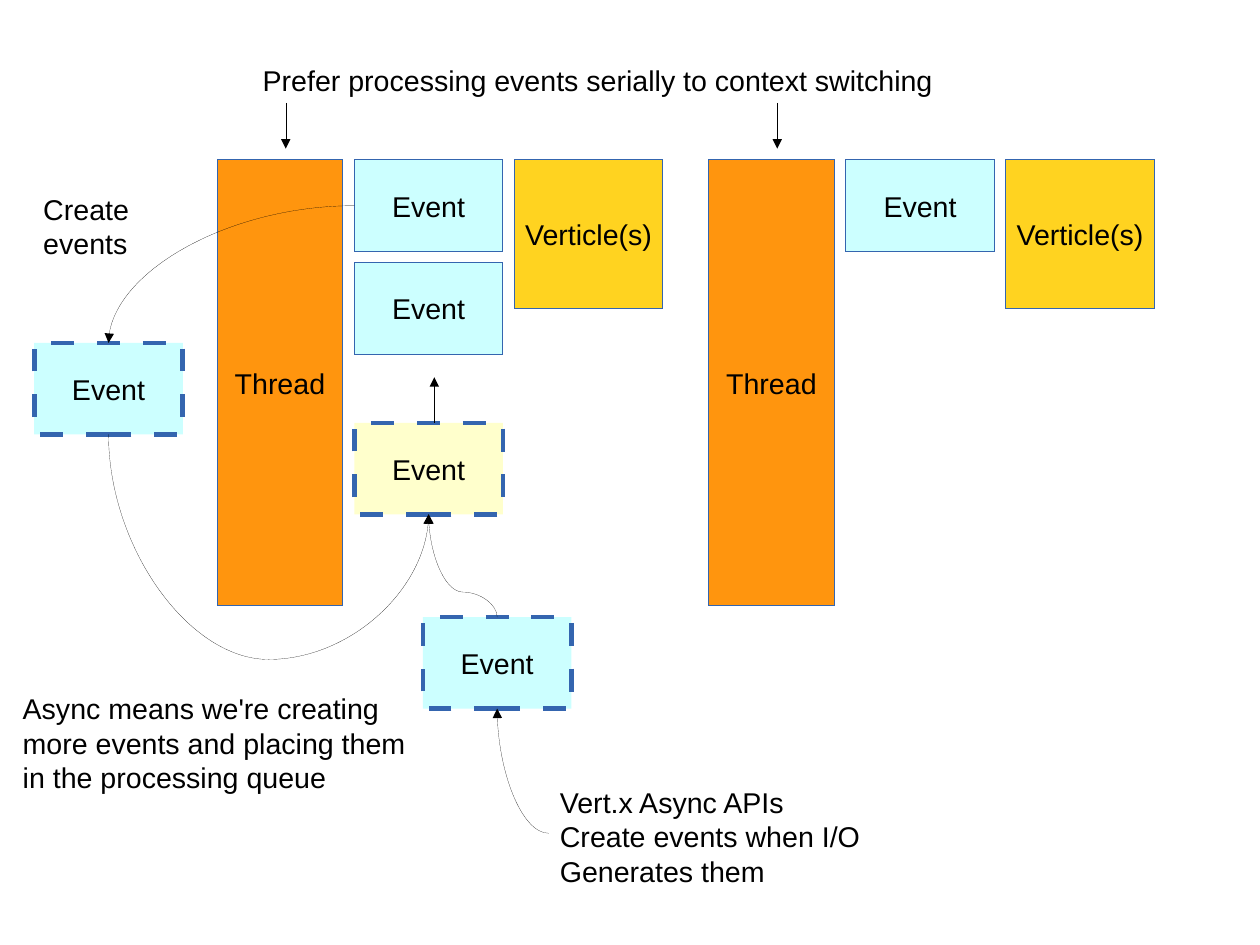
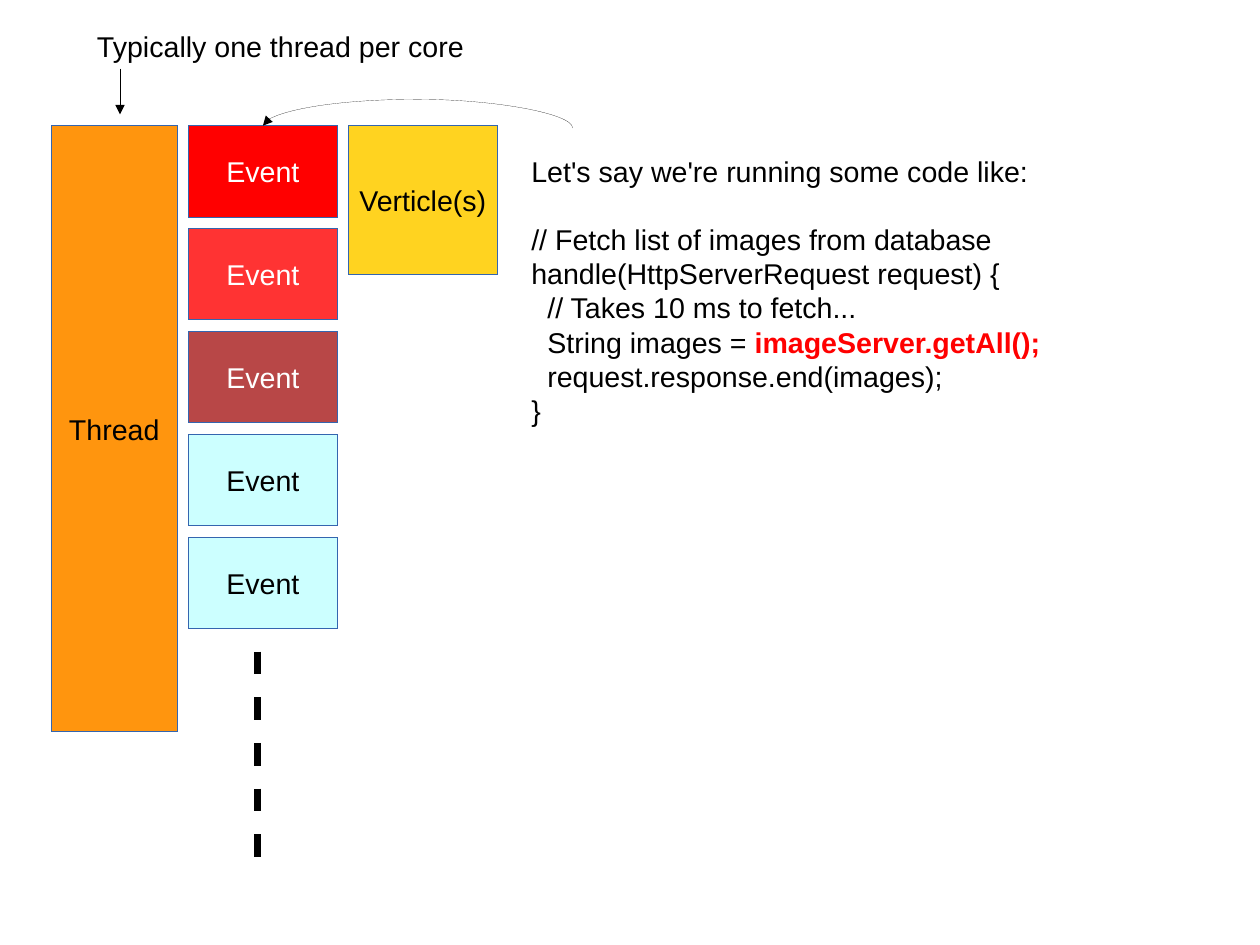
"""Build two slides on events, threads and verticles."""
from dataclasses import dataclass
from typing import Optional

from lxml import etree
from pptx import Presentation, util as u
from pptx.dml.color import RGBColor
from pptx.enum import shapes, text
from pptx.oxml.ns import qn

PX = 9144
SLIDE_SIZE = {"slide_width": u.Cm(28), "slide_height": u.Cm(21)}
EVENT_W, EVENT_H, VERTICLE, THREAD_W, GAP = 130, 80, 130, 110, 10
DASH_PT = 14.4
COLORS = {
    "thread": "FF950E", "verticle": "FFD320", "event": "CCFFFF", "queued": "FFFFCC",
    "hot": "FF0000", "warm": "FF3333", "dull": "B84747",
    "edge": "3465AF", "black": "000000", "white": "FFFFFF",
}
FONT = {"name": "Arial", "size": u.Pt(18), "bold": False}
FRAME = {"word_wrap": False, "auto_size": text.MSO_AUTO_SIZE.NONE}


@dataclass(frozen=True)
class Box:
    x: int
    y: int
    w: int
    h: int
    label: str
    fill: str
    ink: str = "black"
    dashed: bool = False


@dataclass(frozen=True)
class Arrow:
    x1: int
    y1: int
    x2: int
    y2: int
    quarter: bool = False
    turn_y: Optional[int] = None


@dataclass(frozen=True)
class Lane:
    x: int
    y: int
    h: int
    events: tuple[str, ...]


@dataclass(frozen=True)
class Line:
    words: str
    strong: str = ""
    indent: int = 0
    before: int = 0


@dataclass(frozen=True)
class Note:
    x: int
    y: int
    w: int
    h: int
    lines: tuple[Line, ...]


def rgb(name: str) -> RGBColor:
    return RGBColor.from_string(COLORS[name])


def assign(target, values: dict) -> None:
    for key, value in values.items():
        setattr(target, key, value)


def add_run(p, words: str, ink: str, **changes) -> None:
    r = p.add_run()
    r.text = words
    assign(r.font, {**FONT, **changes})
    r.font.color.rgb = rgb(ink)


def style_line(sp, color: str, width: float, dashed: bool = False) -> None:
    sp.line.color.rgb = rgb(color)
    ln = sp.element.spPr.find(qn("a:ln"))
    ln.set("w", str(int(u.Pt(width))))
    if dashed:
        length = str(round(DASH_PT / width * 100000))
        dash = etree.SubElement(ln, qn("a:custDash"))
        etree.SubElement(dash, qn("a:ds"), d=length, sp=length)


def add_box(s, box: Box) -> None:
    sp = s.shapes.add_shape(shapes.MSO_SHAPE.RECTANGLE,
                            *(v * PX for v in (box.x, box.y, box.w, box.h)))
    sp.shadow.inherit = False
    sp.fill.solid()
    sp.fill.fore_color.rgb = rgb(box.fill)
    style_line(sp, "edge", 2.89 if box.dashed else 0, box.dashed)
    tf = sp.text_frame
    assign(tf, {**FRAME, "vertical_anchor": text.MSO_ANCHOR.MIDDLE})
    p = tf.paragraphs[0]
    p.alignment = text.PP_ALIGN.CENTER
    add_run(p, box.label, box.ink)


def add_event(s, x: int, y: int, fill: str = "event", dashed: bool = False) -> None:
    ink = "white" if fill in ("hot", "warm", "dull") else "black"
    add_box(s, Box(x, y, EVENT_W, EVENT_H, "Event", fill, ink, dashed))


def add_line(s, kind, ends: tuple[float, ...], width: float = 0, dashed: bool = False):
    sp = s.shapes.add_connector(kind, *(round(v * PX) for v in ends))
    style_line(sp, "black", width, dashed)
    etree.SubElement(sp.element.spPr, qn("a:effectLst"))
    return sp


def add_arrow(s, a: Arrow) -> None:
    ends = (a.x1, a.y1, a.x2, a.y2)
    kind = shapes.MSO_CONNECTOR.STRAIGHT
    dx, dy = a.x2 - a.x1, a.y2 - a.y1
    if a.quarter or a.turn_y is not None:
        kind = shapes.MSO_CONNECTOR.CURVE
    if a.turn_y is not None:
        cx, cy = (a.x1 + a.x2) / 2, (a.y1 + a.y2) / 2
        ends = (cx + dy / 2, cy - dx / 2, cx - dy / 2, cy + dx / 2)
    sp = add_line(s, kind, ends)
    props = sp.element.spPr
    etree.SubElement(props.find(qn("a:ln")), qn("a:tailEnd"), type="triangle")
    geom = props.find(qn("a:prstGeom"))
    if a.quarter:
        geom.set("prst", "curvedConnector2")
    if a.turn_y is not None:
        props.find(qn("a:xfrm")).set("rot", str(270 * 60000))
        bend = round((a.turn_y - a.y1) / dy * 100000)
        etree.SubElement(geom.find(qn("a:avLst")), qn("a:gd"),
                         name="adj1", fmla=f"val {bend}")


def add_lane(s, lane: Lane) -> None:
    event_x = lane.x + THREAD_W + GAP
    add_box(s, Box(lane.x, lane.y, THREAD_W, lane.h, "Thread", "thread"))
    for i, fill in enumerate(lane.events):
        add_event(s, event_x, lane.y + i * (EVENT_H + GAP), fill)
    add_box(s, Box(event_x + EVENT_W + GAP, lane.y, VERTICLE, VERTICLE,
                   "Verticle(s)", "verticle"))
    add_arrow(s, Arrow(lane.x + 60, lane.y - 50, lane.x + 60, lane.y - 10))


def add_note(s, note: Note) -> None:
    sp = s.shapes.add_textbox(*(v * PX for v in (note.x, note.y, note.w, note.h)))
    tf = sp.text_frame
    assign(tf, FRAME)
    for i, line in enumerate(note.lines):
        p = tf.add_paragraph() if i else tf.paragraphs[0]
        p.space_before = u.Pt(line.before)
        if line.indent:
            p._p.get_or_add_pPr().set("marL", str(line.indent * PX))
        add_run(p, line.words, "black")
        if line.strong:
            add_run(p, line.strong, "hot", bold=True)


def build_queue(s) -> None:
    for lane in (Lane(190, 140, 390, ("event", "event")),
                 Lane(620, 140, 390, ("event",))):
        add_lane(s, lane)
    for x, y, fill in ((310, 370, "queued"), (30, 300, "event"), (370, 540, "event")):
        add_event(s, x, y, fill, dashed=True)
    for arrow in (
        Arrow(310, 180, 95, 300, quarter=True),
        Arrow(95, 380, 375, 450, turn_y=577),
        Arrow(380, 370, 380, 330),
        Arrow(480, 729, 435, 620, quarter=True),
        Arrow(435, 540, 375, 450, turn_y=518),
    ):
        add_arrow(s, arrow)
    for note in (
        Note(220, 50, 606, 38,
             (Line("Prefer processing events serially to context switching"),)),
        Note(28, 163, 95, 88, (Line("Create"), Line("events"))),
        Note(10, 600, 355, 94, (Line("Async means we're creating"),
                                Line("more events and placing them"),
                                Line("in the processing queue"))),
        Note(480, 682, 282, 94, (Line("Vert.x Async APIs"),
                                 Line("Create events when I/O"),
                                 Line("Generates them"))),
    ):
        add_note(s, note)


def build_blocking(s) -> None:
    add_lane(s, Lane(45, 110, 530, ("hot", "warm", "dull", "event", "event")))
    add_line(s, shapes.MSO_CONNECTOR.STRAIGHT, (225, 570, 225, 750), 4.31, dashed=True)
    add_arrow(s, Arrow(501, 112, 230, 110, turn_y=87))
    add_note(s, Note(75, 20, 341, 38, (Line("Typically one thread per core"),)))
    add_note(s, Note(455, 130, 465, 234, (
        Line("Let's say we're running some code like:"),
        Line("// Fetch list of images from database", before=21),
        Line("handle(HttpServerRequest request) {"),
        Line("// Takes 10 ms to fetch...", indent=14),
        Line("String images = ", "imageServer.getAll();", indent=14),
        Line("request.response.end(images);", indent=14),
        Line("}"),
    )))


def main() -> None:
    prs = Presentation()
    assign(prs, SLIDE_SIZE)
    for build in (build_queue, build_blocking):
        build(prs.slides.add_slide(prs.slide_layouts[6]))
    prs.save("out.pptx")


if __name__ == "__main__":
    main()
